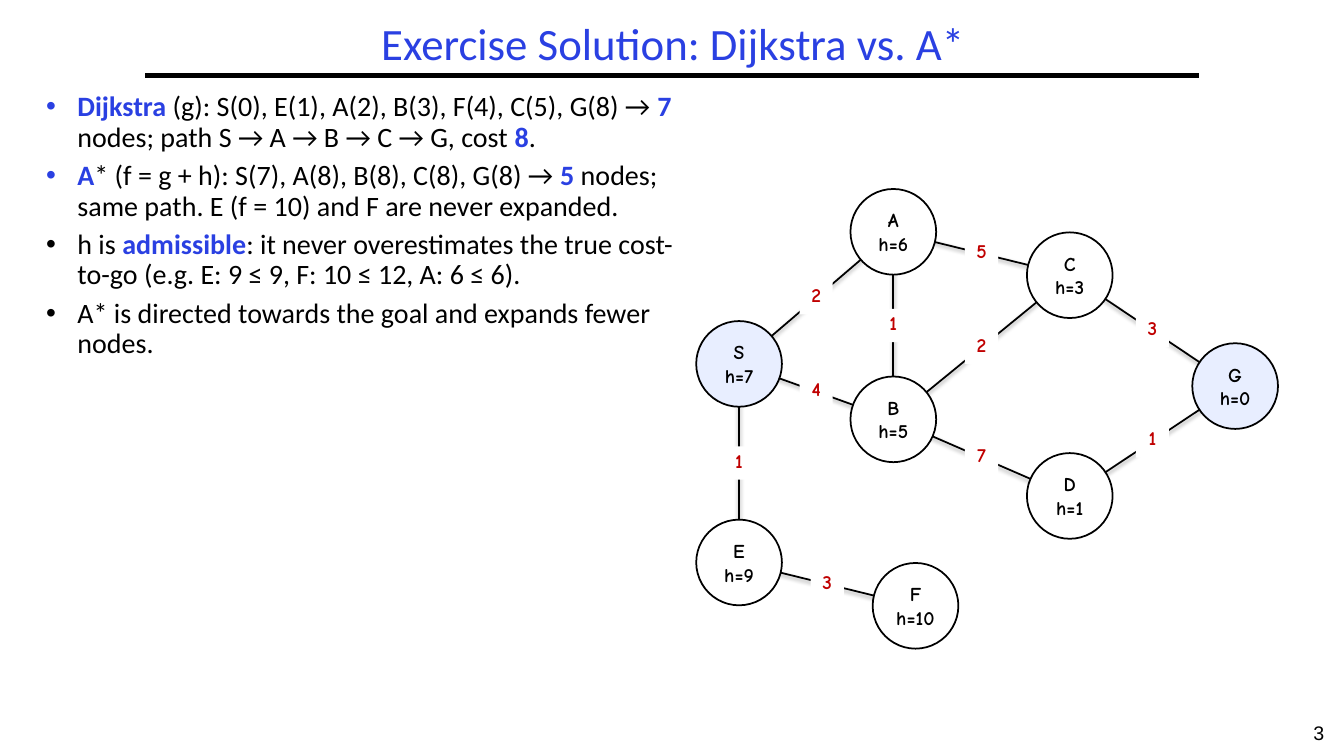
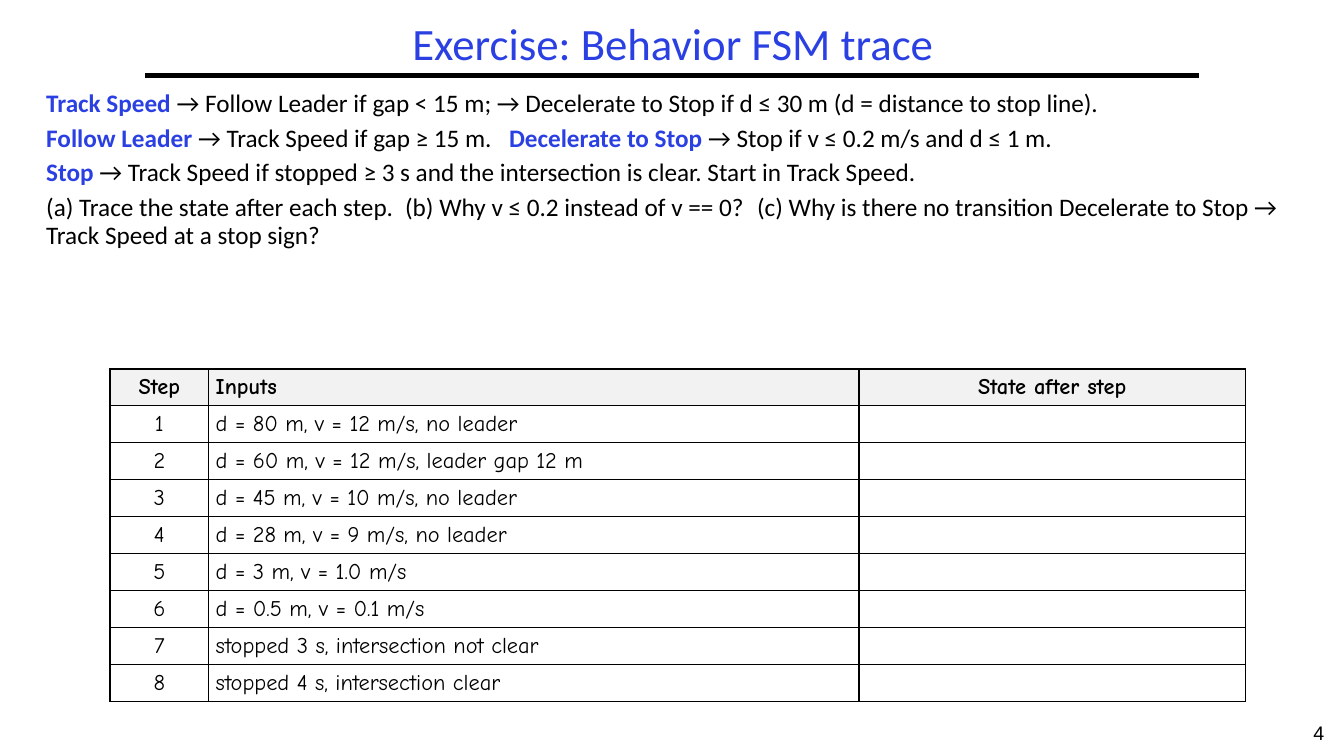
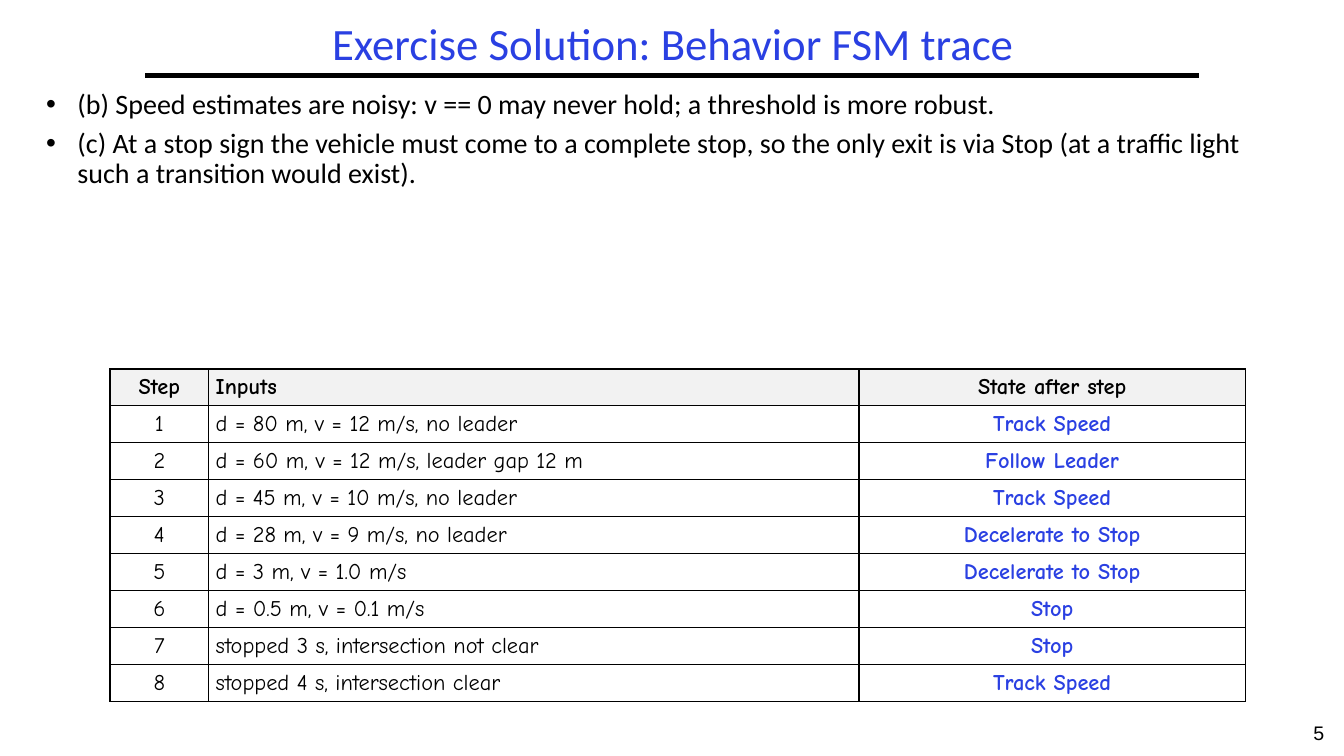
from lxml import etree
from pptx import Presentation
from pptx.dml.color import RGBColor
from pptx.enum.shapes import MSO_CONNECTOR, MSO_SHAPE
from pptx.enum.text import MSO_ANCHOR, MSO_AUTO_SIZE, PP_ALIGN
from pptx.oxml import parse_xml
from pptx.oxml.ns import nsdecls, qn
from pptx.util import Inches, Pt

LEFT, CENTER = PP_ALIGN.LEFT, PP_ALIGN.CENTER
TOP, MIDDLE = MSO_ANCHOR.TOP, MSO_ANCHOR.MIDDLE
GROW = MSO_AUTO_SIZE.SHAPE_TO_FIT_TEXT
RECT, OVAL = MSO_SHAPE.RECTANGLE, MSO_SHAPE.OVAL
STRAIGHT = MSO_CONNECTOR.STRAIGHT
SIDES = "left", "top", "right", "bottom"


class Theme:
    ink, blue, red = "000000", "2A40E2", "C00000"
    white, tint, gray = "FFFFFF", "E8EEFF", "F2F2F2"
    sans, comic, plain = "Calibri", "Comic Neue", "Arial"
    title, body, dense, cell, small = 32, 20, 18, 16, 14
    rule, edge, grid = 3, 1.25, 1
    tight = 0.9
    node, tag = 0.85, 0.33


def color(code):
    return RGBColor.from_string(code)


def apply(target, values):
    for name, value in values.items():
        setattr(target, name, value)


class Deck:
    """Draw slides that share one theme."""

    def __init__(self, first):
        self.prs = Presentation()
        apply(self.prs, {"slide_width": Inches(13.33), "slide_height": Inches(7.5)})
        self.page = first

    def start(self, title):
        self.slide = self.prs.slides.add_slide(self.prs.slide_layouts[6])
        self.line((1.44, 0.75), (11.89, 0.75), Theme.rule)
        self.text((12.83, 7.1, 0.5, 0.4), [str(self.page)], Theme.small,
                  face=Theme.plain, align=CENTER)
        self.text((1.44, 0.17, 10.47, 0.58), [title], Theme.title, tone=Theme.blue,
                  align=CENTER, anchor=MIDDLE, space=Theme.tight)
        self.page += 1

    def fit(self, frame, pad, anchor):
        values = {f"margin_{side}": Inches(gap) for side, gap in zip(SIDES, pad * 2)}
        apply(frame, {**values, "vertical_anchor": anchor})

    def runs(self, para, words, size, face, tone, bold=False):
        for spot, part in enumerate(words.split("|")):
            if part:
                run = para.add_run()
                run.text = part
                marked = spot % 2 == 1
                apply(run.font, {"size": Pt(size), "name": face, "bold": bold or marked})
                run.font.color.rgb = color(Theme.blue if marked else tone)

    def fill(self, frame, lines, size, face, tone, align, bold=False):
        for spot, words in enumerate(lines):
            para = frame.add_paragraph() if spot else frame.paragraphs[0]
            para.alignment = align
            self.runs(para, words, size, face, tone, bold)

    def text(self, box, lines, size, face=Theme.sans, tone=Theme.ink,
             align=LEFT, anchor=TOP, space=1.0):
        frame = self.slide.shapes.add_textbox(*map(Inches, box)).text_frame
        frame.word_wrap = True
        self.fit(frame, (0.1, 0.05), anchor)
        self.fill(frame, lines, size, face, tone, align)
        for spot, para in enumerate(frame.paragraphs):
            apply(para, {"line_spacing": space, "space_before": Pt(0.3 * size if spot else 0)})
        return frame

    def body(self, box, lines, size=Theme.body):
        frame = self.text(box, lines, size, space=Theme.tight)
        for para, words in zip(frame.paragraphs, lines):
            props = para._p.get_or_add_pPr()
            for name, value in {"marL": 0.31, "indent": -0.31}.items():
                props.set(name, str(Inches(value)))
            tone = Theme.blue if words.startswith("|") else Theme.ink
            hue = etree.SubElement(props, qn("a:buClr"))
            etree.SubElement(hue, qn("a:srgbClr"), val=tone)
            etree.SubElement(props, qn("a:buFont"), typeface=Theme.plain)
            etree.SubElement(props, qn("a:buChar"), char="•")

    def notes(self, box, lines, stops):
        frame = self.text(box, lines, Theme.dense, space=Theme.tight)
        for para in frame.paragraphs:
            tabs = etree.SubElement(para._p.get_or_add_pPr(), qn("a:tabLst"))
            for stop in stops:
                etree.SubElement(tabs, qn("a:tab"), pos=str(Inches(stop)), algn="l")

    def line(self, start, end, width, shade=False):
        link = self.slide.shapes.add_connector(STRAIGHT, *map(Inches, start + end))
        link.line.width = Pt(width)
        link.line.color.rgb = color(Theme.ink)
        glow = etree.SubElement(link._element.spPr, qn("a:effectLst"))
        if shade:
            cast = etree.SubElement(glow, qn("a:outerShdw"), blurRad=str(Pt(3.1)),
                                    dist=str(Pt(1.6)), dir="5400000", rotWithShape="0")
            tone = etree.SubElement(cast, qn("a:srgbClr"), val=Theme.ink)
            etree.SubElement(tone, qn("a:alpha"), val="38000")

    def shape(self, kind, mid, size, back, lines, tone, pad, anchor):
        x, y = mid
        box = x - size / 2, y - size / 2, size, size
        shape = self.slide.shapes.add_shape(kind, *map(Inches, box))
        shape.shadow.inherit = False
        shape.fill.solid()
        shape.fill.fore_color.rgb = color(back)
        self.fit(shape.text_frame, pad, anchor)
        self.fill(shape.text_frame, lines, Theme.small, Theme.comic, tone, CENTER, True)
        return shape

    def node(self, mid, lines, back):
        shape = self.shape(OVAL, mid, Theme.node, back, lines, Theme.ink, (0, 0), MIDDLE)
        shape.line.width = Pt(Theme.edge)
        shape.line.color.rgb = color(Theme.ink)

    def tag(self, mid, cost):
        shape = self.shape(RECT, mid, Theme.tag, Theme.white, [str(cost)], Theme.red,
                           (0.04, 0.02), TOP)
        shape.line.fill.background()
        shape.text_frame.auto_size = GROW

    def graph(self, nodes, edges, ends):
        for head, tail in edges:
            self.line(nodes[head][0], nodes[tail][0], Theme.edge, True)
        for pair, cost in edges.items():
            (x, y), (u, v) = (nodes[name][0] for name in pair)
            self.tag(((x + u) / 2, (y + v) / 2), cost)
        for name, (mid, guess) in nodes.items():
            self.node(mid, [name, f"h={guess}"], Theme.tint if name in ends else Theme.white)

    def border(self, cell):
        props = cell._tc.get_or_add_tcPr()
        for side in "LRTB":
            props.append(parse_xml(
                f'<a:ln{side} {nsdecls("a")} w="{Pt(Theme.grid)}"><a:solidFill>'
                f'<a:srgbClr val="{Theme.ink}"/></a:solidFill></a:ln{side}>'))

    def table(self, box, widths, rows):
        size = len(rows), len(widths)
        table = self.slide.shapes.add_table(*size, *map(Inches, box)).table
        apply(table, {"first_row": False, "horz_banding": False})
        for column, width in zip(table.columns, widths):
            column.width = Inches(width)
        for r, row in enumerate(rows):
            table.rows[r].height = Inches(box[3] / len(rows))
            for c, words in enumerate(row):
                cell = table.cell(r, c)
                self.border(cell)
                cell.fill.solid()
                cell.fill.fore_color.rgb = color(Theme.white if r else Theme.gray)
                self.fit(cell, (0.07, 0.03), MIDDLE)
                self.fill(cell.text_frame, [words], Theme.cell, Theme.comic, Theme.ink,
                          LEFT if c == 1 else CENTER, r == 0)


NODES = {
    "S": ((7.33, 3.61), 7), "A": ((8.86, 2.3), 6),
    "B": ((8.86, 4.16), 5), "C": ((10.61, 2.73), 3),
    "D": ((10.61, 4.92), 1), "G": ((12.25, 3.83), 0),
    "E": ((7.33, 5.58), 9), "F": ((9.08, 6.01), 10),
}
EDGES = {"SA": 2, "SB": 4, "AB": 1, "AC": 5, "BC": 2,
         "BD": 7, "CG": 3, "DG": 1, "SE": 1, "EF": 3}
SEARCH = [
    "|Dijkstra| (g): S(0), E(1), A(2), B(3), F(4), C(5), G(8) → |7| nodes; "
    "path S → A → B → C → G, cost |8|.",
    "|A|* (f = g + h): S(7), A(8), B(8), C(8), G(8) → |5| nodes; same path. "
    "E (f = 10) and F are never expanded.",
    "h is |admissible|: it never overestimates the true cost-to-go "
    "(e.g. E: 9 ≤ 9, F: 10 ≤ 12, A: 6 ≤ 6).",
    "A* is directed towards the goal and expands fewer nodes.",
]
RULES = [
    "|Track Speed| → Follow Leader if gap < 15 m; → Decelerate to Stop if d ≤ 30 m "
    "(d = distance to stop line).",
    "|Follow Leader| → Track Speed if gap ≥ 15 m.\t|Decelerate to Stop| → "
    "Stop if v ≤ 0.2 m/s and d ≤ 1 m.",
    "|Stop| → Track Speed if stopped ≥ 3 s and the intersection is clear. "
    "Start in Track Speed.",
    "(a) Trace the state after each step.\t(b) Why v ≤ 0.2 instead of v == 0?\t"
    "(c) Why is there no transition Decelerate to Stop → Track Speed at a stop sign?",
]
REASONS = [
    "(b) Speed estimates are noisy: v == 0 may never hold; a threshold is more robust.",
    "(c) At a stop sign the vehicle must come to a complete stop, so the only exit is "
    "via Stop (at a traffic light such a transition would exist).",
]
TRACE = [
    ("d = 80 m, v = 12 m/s, no leader", "Track Speed"),
    ("d = 60 m, v = 12 m/s, leader gap 12 m", "Follow Leader"),
    ("d = 45 m, v = 10 m/s, no leader", "Track Speed"),
    ("d = 28 m, v = 9 m/s, no leader", "Decelerate to Stop"),
    ("d = 3 m, v = 1.0 m/s", "Decelerate to Stop"),
    ("d = 0.5 m, v = 0.1 m/s", "Stop"),
    ("stopped 3 s, intersection not clear", "Stop"),
    ("stopped 4 s, intersection clear", "Track Speed"),
]
WIDE = 0.36, 0.85, 12.58, 2.73


def trace(deck, solved):
    rows = [("Step", "Inputs", "State after step")]
    for step, (given, state) in enumerate(TRACE, 1):
        rows.append((str(step), given, f"|{state}|" if solved else ""))
    deck.table((1.09, 3.66, 11.26, 3.3), (0.98, 6.45, 3.83), rows)


def main():
    deck = Deck(3)
    deck.start("Exercise Solution: Dijkstra vs. A*")
    deck.body((0.36, 0.87, 6.45, 6.01), SEARCH)
    deck.graph(NODES, EDGES, "SG")

    deck.start("Exercise: Behavior FSM trace")
    deck.notes(WIDE, RULES, (3.56, 4.59, 7.05))
    trace(deck, False)

    deck.start("Exercise Solution: Behavior FSM trace")
    deck.body(WIDE, REASONS)
    trace(deck, True)
    deck.prs.save("out.pptx")


if __name__ == "__main__":
    main()
